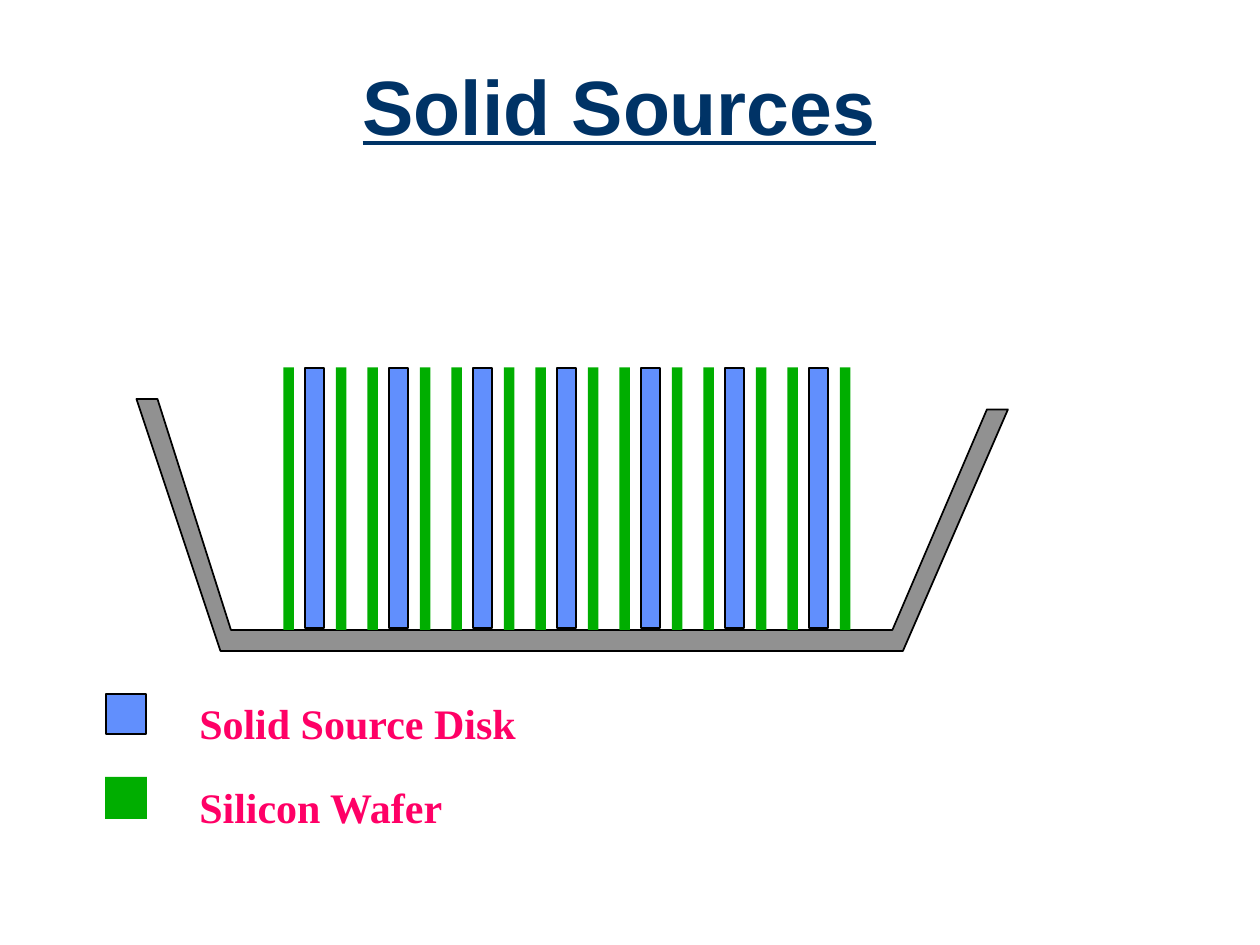
from pptx import Presentation
from pptx.dml.color import RGBColor
from pptx.enum.shapes import MSO_SHAPE as Shape
from pptx.enum.text import MSO_ANCHOR as Anchor, MSO_AUTO_SIZE as AutoSize, PP_ALIGN as Align
from pptx.util import Inches, Pt

COLUMNS, ROWS = 120, 90
NAVY, PINK, BLUE, GREEN, GRAY, BLACK = "003366", "FF0066", "618FFD", "00AE00", "919191", "000000"


def color(value):
    """Turn a hex string into a colour."""
    return RGBColor.from_string(value)


class Board:
    """Draws styled elements on one slide, placed by grid columns and rows."""

    def __init__(self, presentation):
        """Add a blank slide and measure its grid cell."""
        self.slide = presentation.slides.add_slide(presentation.slide_layouts[6])
        self.column = presentation.slide_width / COLUMNS
        self.row = presentation.slide_height / ROWS

    def place(self, left, top, width, height):
        """Convert a grid box into slide lengths."""
        return (round(left * self.column), round(top * self.row),
                round(width * self.column), round(height * self.row))

    def paint(self, shape, fill, outlined):
        """Apply the fill and the optional outline."""
        shape.shadow.inherit = False
        shape.fill.solid()
        shape.fill.fore_color.rgb = color(fill)
        if outlined:
            shape.line.color.rgb = color(BLACK)
            shape.line.width = Pt(1)
        else:
            shape.line.fill.background()

    def bar(self, box, fill, outlined=False):
        """Draw a rectangle."""
        shape = self.slide.shapes.add_shape(Shape.RECTANGLE, *self.place(*box))
        self.paint(shape, fill, outlined)

    def outline(self, points, fill):
        """Draw a closed polygon through grid points."""
        builder = self.slide.shapes.build_freeform(*points[0], scale=(self.column, self.row))
        builder.add_line_segments(points[1:], close=True)
        self.paint(builder.convert_to_shape(), fill, True)

    def text(self, box, words, font, size, ink):
        """Write a bold line and return its shape, paragraph and run."""
        shape = self.slide.shapes.add_textbox(*self.place(*box))
        paragraph = shape.text_frame.paragraphs[0]
        run = paragraph.add_run()
        run.text = words
        run.font.name, run.font.size, run.font.bold = font, Pt(size), True
        run.font.color.rgb = color(ink)
        return shape, paragraph, run

    def title(self, box, words):
        """Write the underlined, centred heading."""
        shape, paragraph, run = self.text(box, words, "Arial", 44, NAVY)
        shape.text_frame.word_wrap = True
        shape.text_frame.vertical_anchor = Anchor.MIDDLE
        paragraph.alignment = Align.CENTER
        paragraph.line_spacing = 0.9
        run.font.underline = True

    def label(self, box, words):
        """Write a legend label that does not wrap."""
        shape, _, _ = self.text(box, words, "Times New Roman", 24, PINK)
        shape.text_frame.word_wrap = False
        shape.text_frame.auto_size = AutoSize.SHAPE_TO_FIT_TEXT


def main():
    """Build the slide and save it."""
    presentation = Presentation()
    presentation.slide_width, presentation.slide_height = Inches(10), Inches(7.5)
    board = Board(presentation)
    board.title((3, 3, 112, 15), "Solid Sources")

    boat = [(13, 38), (21, 62), (86, 62), (96, 39), (94, 39), (85, 60), (22, 60), (15, 38)]
    board.outline(boat, GRAY)

    group_starts = range(27, 82, 8)
    for start in group_starts:
        board.bar((start + 2.05, 35.05, 1.8, 24.8), BLUE, outlined=True)
    for start in group_starts:
        for wafer in (start, start + 5):
            board.bar((wafer, 35, 1, 25), GREEN)

    board.bar((10.1, 66.1, 3.8, 3.8), BLUE, outlined=True)
    board.label((17.8, 65.8, 32.6, 6), "Solid Source Disk")
    board.bar((10, 74, 4, 4), GREEN)
    board.label((17.8, 73.8, 25.9, 6), "Silicon Wafer")
    presentation.save("out.pptx")


if __name__ == "__main__":
    main()
